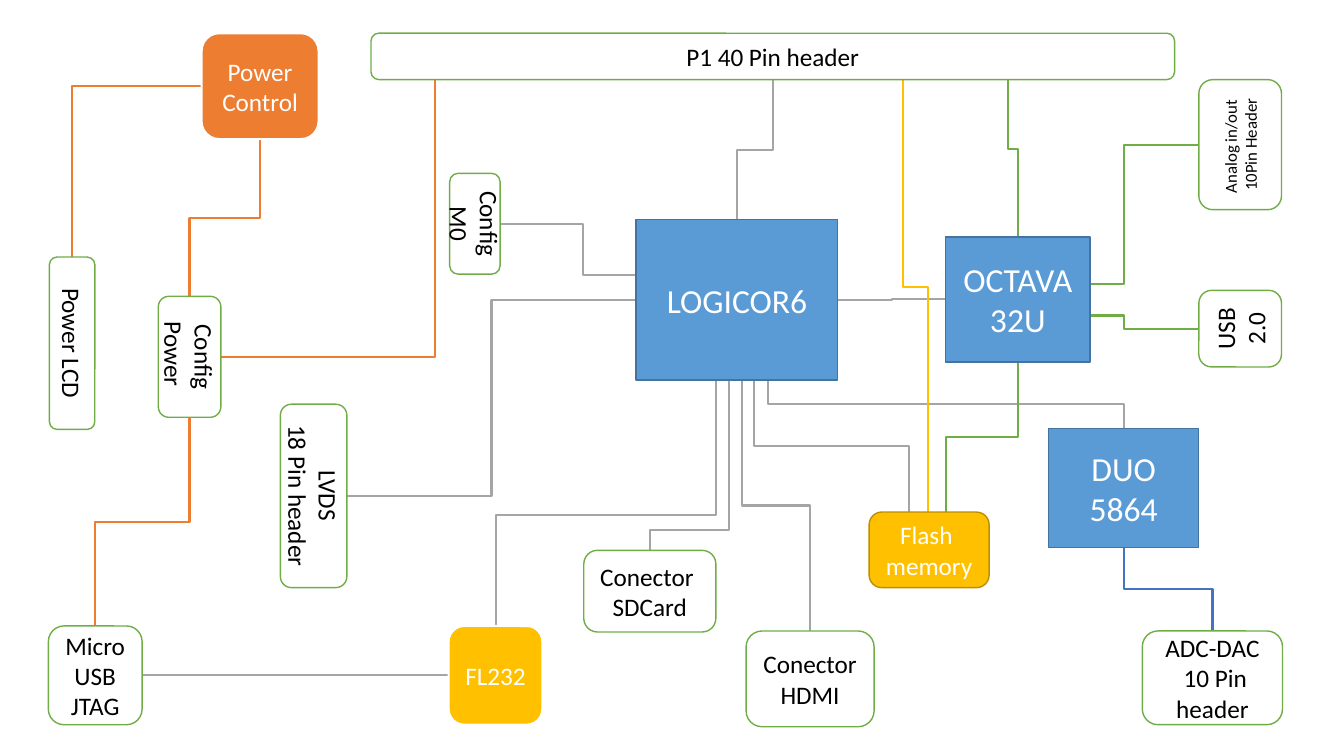
"""Block diagram of an FPGA board with its connectors and power wiring."""
from lxml import etree
from pptx import Presentation
from pptx.dml.color import RGBColor
from pptx.enum import shapes, text
from pptx.oxml.ns import qn
from pptx.util import Inches, Pt

WHITE, BLACK = RGBColor(255, 255, 255), RGBColor(0, 0, 0)
BLUE, NAVY = RGBColor(0x5B, 0x9B, 0xD5), RGBColor(0x43, 0x73, 0x9E)
GREEN, GREY = RGBColor(0x70, 0xAD, 0x47), RGBColor(0xA5, 0xA5, 0xA5)
ORANGE, GOLD = RGBColor(0xED, 0x7D, 0x31), RGBColor(0xFF, 0xC0, 0)
BRONZE, ROYAL = RGBColor(0xBD, 0x8E, 0), RGBColor(0x44, 0x72, 0xC4)

ROUND, SQUARE = shapes.MSO_SHAPE.ROUNDED_RECTANGLE, shapes.MSO_SHAPE.RECTANGLE
STYLES = {
    "chip": dict(outline=SQUARE, fill=BLUE, line=NAVY, weight=1, ink=WHITE, size=24),
    "header": dict(outline=ROUND, fill=WHITE, line=GREEN, weight=1, ink=BLACK, size=18),
    "small": dict(outline=ROUND, fill=WHITE, line=GREEN, weight=1, ink=BLACK, size=12),
    "bridge": dict(outline=ROUND, fill=GOLD, line=WHITE, weight=1.5, ink=WHITE, size=18),
    "memory": dict(outline=ROUND, fill=GOLD, line=BRONZE, weight=1, ink=WHITE, size=18),
    "power": dict(outline=ROUND, fill=ORANGE, line=WHITE, weight=1.5, ink=WHITE, size=18),
}

BLOCKS = {
    "converter": ("DUO\n5864", "chip", (10.4, 4.25, 1.49, 1.18), 0),
    "lvds": ("LVDS\n18 Pin header", "header", (2.78, 4.01, 0.66, 1.82), 90),
    "hdmi": ("Conector\nHDMI", "header", (7.4, 6.26, 1.27, 0.95), 0),
    "adc": ("ADC-DAC\n 10 Pin header", "header", (11.33, 6.26, 1.39, 0.93), 0),
    "jtag": ("Micro USB\nJTAG", "header", (0.48, 6.21, 0.93, 0.98), 0),
    "config power": ("Config Power ", "header", (1.57, 2.94, 0.62, 1.2), 90),
    "lcd": ("Power LCD", "header", (0.49, 2.55, 0.45, 1.71), 90),
    "sd card": ("Conector \nSDCard", "header", (5.79, 5.46, 1.31, 0.81), 0),
    "usb": ("USB 2.0", "header", (11.89, 2.88, 0.82, 0.76), 270),
    "analog": ("Analog in/out \n10Pin Header", "small", (11.89, 0.79, 0.82, 1.29), 270),
    "serial": ("FL232", "bridge", (4.45, 6.21, 0.93, 0.98), 0),
    "fpga": ("LOGICOR6", "chip", (6.31, 2.18, 2, 1.59), 0),
    "mcu": ("OCTAVA\v32U", "chip", (9.38, 2.35, 1.43, 1.24), 0),
    "power control": ("Power Control", "power", (2, 0.33, 1.16, 1.05), 0),
    "p1": ("P1 40 Pin header", "header", (3.68, 0.33, 7.97, 0.46), 0),
    "flash": ("Flash \nmemory", "memory", (8.62, 5.08, 1.19, 0.75), 0),
    "config m0": ("Config M0", "header", (4.46, 1.72, 0.5, 1), 90),
}

CORNER = None
WIRES = [
    (GREY, ("fpga", "left", -0.25), ("config m0", "right", 0), 0.39),
    (GREY, ("fpga", "bottom", -0.08), ("sd card", "top", 0), 0.88),
    (GREY, ("fpga", "bottom", 0.17), ("flash", "top", -0.2), 0.5),
    (GREY, ("fpga", "bottom", 0.05), ("hdmi", "top", 0), 0.5),
    (GREY, ("fpga", "bottom", -0.21), ("serial", "top", 0), 0.55),
    (GREY, ("fpga", "bottom", 0.31), ("converter", "top", 0), 0.5),
    (GREY, ("fpga", "left", 0), ("lvds", "right", 0), 0.5),
    (GREY, ("serial", "left", 0), ("jtag", "right", 0), 0.5),
    (ROYAL, ("converter", "bottom", 0), ("adc", "top", 0), 0.5),
    (GREEN, ("mcu", "right", 0.16), ("usb", "left", 0), 0.31),
    (GREEN, ("mcu", "right", -0.15), ("analog", "left", 0), 0.31),
    (GREY, ("fpga", "right", 0), ("mcu", "left", 0), 0.5),
    (GREY, ("p1", "bottom", 0), ("fpga", "top", 0), 0.5),
    (GREEN, ("mcu", "bottom", 0), ("flash", "top", 0.17), 0.5),
    (GOLD, ("p1", "bottom", 1.29), ("flash", "top", -0.01), 0.48),
    (GREEN, ("p1", "bottom", 2.33), ("mcu", "top", 0), 0.44),
    (ORANGE, ("power control", "bottom", 0), ("config power", "top", 0), 0.5),
    (ORANGE, ("p1", "bottom", -3.35), ("config power", "right", 0), CORNER),
    (ORANGE, ("power control", "left", 0), ("lcd", "top", 0), CORNER),
    (ORANGE, ("config power", "bottom", 0), ("jtag", "top", 0), 0.5),
]


def anchor(block, side, shift):
    left, top, width, height = BLOCKS[block][2]
    if side in ("top", "bottom"):
        return left + width / 2 + shift, top + height * (side == "bottom")
    return left + width * (side == "right"), top + height / 2 + shift


def add_wire(slide, colour, start, end, bend):
    (x1, y1), (x2, y2) = anchor(*start), anchor(*end)
    wire = slide.shapes.add_connector(
        shapes.MSO_CONNECTOR.ELBOW, *map(Inches, (x1, y1, x2, y2)))
    wire.line.color.rgb, wire.line.width = colour, Pt(1.5)
    properties = wire._element.spPr
    etree.SubElement(properties, qn("a:effectLst"))
    if start[1] == "bottom":
        run, drop = abs(x2 - x1), y2 - y1
        wire.left = Inches((x1 + x2 - drop) / 2)
        wire.top = Inches((y1 + y2 - run) / 2)
        wire.width, wire.height = Inches(drop), Inches(run)
        frame = properties.find(qn("a:xfrm"))
        frame.set("rot", str((270 if x2 > x1 else 90) * 60000))
        frame.set("flipH", "1" if x2 > x1 else "0")
    geometry = properties.find(qn("a:prstGeom"))
    if bend is CORNER:
        geometry.set("prst", "bentConnector2")
    else:
        guides = geometry.find(qn("a:avLst"))
        etree.SubElement(guides, qn("a:gd"), name="adj1", fmla=f"val {round(bend * 100000)}")


def add_block(slide, label, style, bounds, turn):
    look = STYLES[style]
    left, top, width, height = bounds
    if turn:
        left, top = left + (width - height) / 2, top + (height - width) / 2
        width, height = height, width
    block = slide.shapes.add_shape(look["outline"], *map(Inches, (left, top, width, height)))
    block.rotation = turn
    block.shadow.inherit = False
    block.fill.solid()
    block.fill.fore_color.rgb = look["fill"]
    block.line.color.rgb, block.line.width = look["line"], Pt(look["weight"])
    block.text_frame.text = label
    block.text_frame.word_wrap = True
    block.text_frame.vertical_anchor = text.MSO_ANCHOR.MIDDLE
    for paragraph in block.text_frame.paragraphs:
        paragraph.alignment = text.PP_ALIGN.CENTER
        for run in paragraph.runs:
            run.font.color.rgb = look["ink"]
            for name, value in dict(name="Calibri", size=Pt(look["size"])).items():
                setattr(run.font, name, value)


deck = Presentation()
deck.slide_width, deck.slide_height = Inches(13.33), Inches(7.5)
diagram = deck.slides.add_slide(deck.slide_layouts[6])
for wiring in WIRES:
    add_wire(diagram, *wiring)
for content in BLOCKS.values():
    add_block(diagram, *content)
deck.save("out.pptx")
